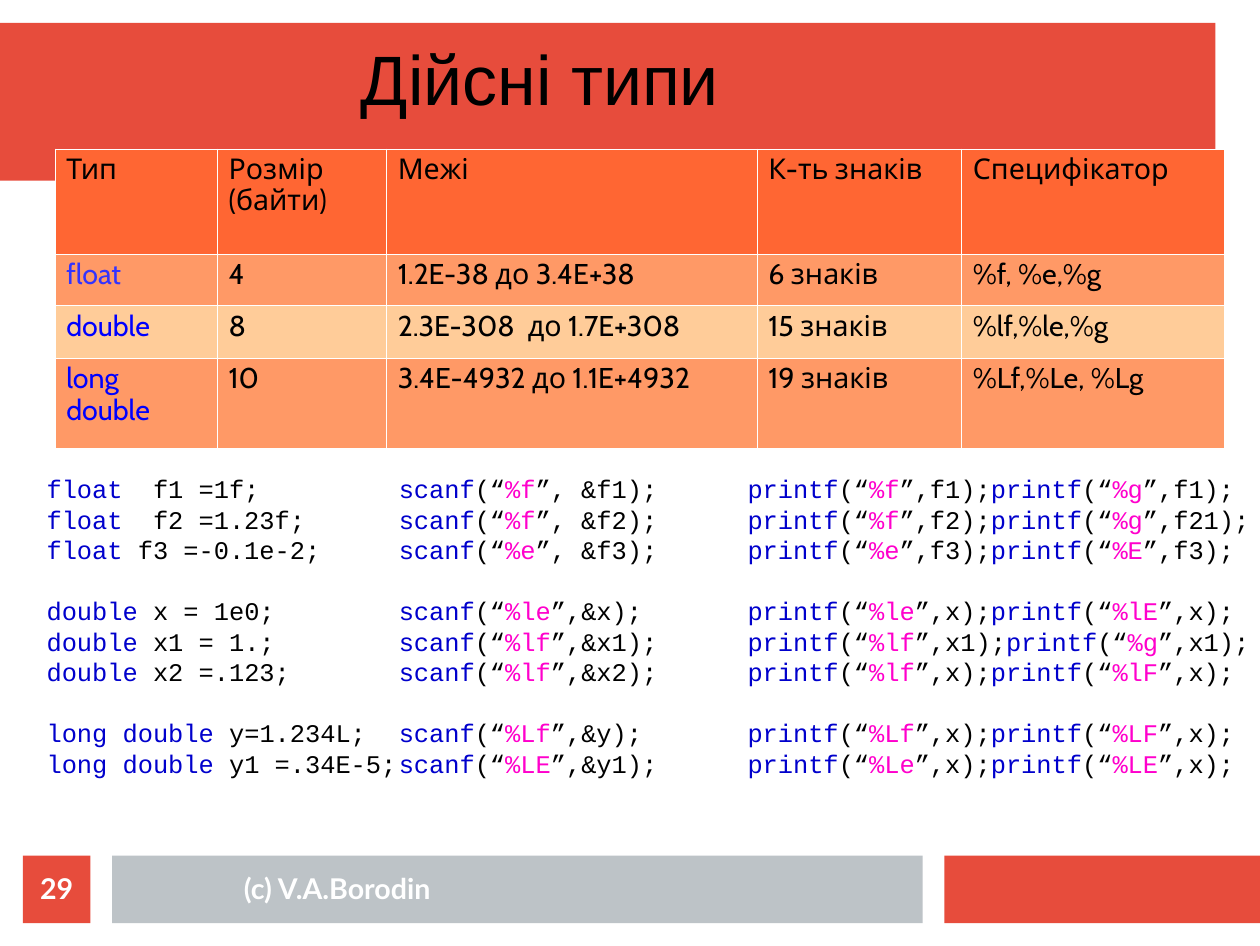
from lxml.etree import SubElement
from pptx import Presentation
from pptx.dml.color import RGBColor
from pptx.enum.shapes import MSO_SHAPE
from pptx.enum.text import MSO_ANCHOR, MSO_AUTO_SIZE, PP_ALIGN
from pptx.oxml.ns import qn
from pptx.util import Inches, Pt

COLORS = {
    "red": "E74C3C", "gray": "BDC3C7", "white": "FFFFFF", "black": "000000",
    "header": "FF6633", "odd_row": "FF9966", "even_row": "FFCC99",
    "float": "3333FF", "double": "0000FF",
    "keyword": "0000CC", "format": "FF00CC",
}

TYPE_ROWS = [
    ["Тип", "Розмір (байти)", "Межі", "К-ть знаків", "Специфікатор"],
    ["float", "4", "1.2E-38 до 3.4E+38", "6 знаків", "%f, %e,%g"],
    ["double", "8", "2.3E-308  до 1.7E+308", "15 знаків", "%lf,%le,%g"],
    ["long double", "10", "3.4E-4932 до 1.1E+4932", "19 знаків", "%Lf,%Le, %Lg"],
]
COLUMN_WIDTHS = [1.42, 1.48, 3.24, 1.79, 2.3]
ROW_HEIGHTS = [0.92, 0.45, 0.46, 0.79]
ROW_FILLS = ["header", "odd_row", "even_row", "odd_row"]
TYPE_COLORS = ["black", "float", "double", "double"]

# Type, declaration, then format and arguments of scanf, printf, printf
CODE_GROUPS = [
    [
        ("float", "  f1 =1f;", "%f", ", &f1", "%f", ",f1", "%g", ",f1"),
        ("float", "  f2 =1.23f;", "%f", ", &f2", "%f", ",f2", "%g", ",f21"),
        ("float", " f3 =-0.1e-2;", "%e", ", &f3", "%e", ",f3", "%E", ",f3"),
    ],
    [
        ("double", " x = 1e0;", "%le", ",&x", "%le", ",x", "%lE", ",x"),
        ("double", " x1 = 1.;", "%lf", ",&x1", "%lf", ",x1", "%g", ",x1"),
        ("double", " x2 =.123;", "%lf", ",&x2", "%lf", ",x", "%lF", ",x"),
    ],
    [
        ("long double", " y=1.234L;", "%Lf", ",&y", "%Lf", ",x", "%LF", ",x"),
        ("long double", " y1 =.34E-5;", "%LE", ",&y1", "%Le", ",x", "%LE", ",x"),
    ],
]
CODE_TABS = [3.08, 6.13]


def rgb(name):
    return RGBColor.from_string(COLORS[name])


def write(paragraph, text, size=18, font="Cabin", color="black", bold=False,
          align=PP_ALIGN.LEFT, spacing=1.0):
    paragraph.alignment = align
    paragraph.line_spacing = spacing
    run = paragraph.add_run()
    run.text = text
    run.font.size = Pt(size)
    run.font.name = font
    run.font.bold = bold
    run.font.color.rgb = rgb(color)


def add_bar(slide, left, top, width, height, fill):
    bar = slide.shapes.add_shape(MSO_SHAPE.RECTANGLE, Inches(left), Inches(top),
                                 Inches(width), Inches(height))
    bar.shadow.inherit = False
    bar.fill.solid()
    bar.fill.fore_color.rgb = rgb(fill)
    bar.line.fill.background()
    return bar


def add_text_box(slide, left, top, width, height):
    box = slide.shapes.add_textbox(Inches(left), Inches(top),
                                   Inches(width), Inches(height))
    box.text_frame.word_wrap = True
    return box


def write_footer(shape, text):
    frame = shape.text_frame
    frame.margin_left = frame.margin_right = 0
    frame.margin_top = frame.margin_bottom = 0
    frame.vertical_anchor = MSO_ANCHOR.MIDDLE
    write(frame.paragraphs[0], text, font="Lato", color="white", bold=True,
          align=PP_ALIGN.CENTER, spacing=0.98)


def set_title(slide, text):
    title = slide.shapes.title
    title.left, title.top = Inches(1.97), Inches(0.33)
    title.width, title.height = Inches(5.51), Inches(0.83)
    title.text_frame.vertical_anchor = MSO_ANCHOR.TOP
    title.text_frame.auto_size = MSO_AUTO_SIZE.NONE
    write(title.text_frame.paragraphs[0], text, size=44, font="Arial",
          align=PP_ALIGN.CENTER, spacing=0.93)
    # Bring the title in front of the red band
    title.element.getparent().append(title.element)


def add_borders(cell):
    properties = cell._tc.get_or_add_tcPr()
    for position, side in enumerate(("lnL", "lnR", "lnT", "lnB")):
        line = SubElement(properties, qn(f"a:{side}"), w=str(Pt(0.06)))
        fill = SubElement(line, qn("a:solidFill"))
        SubElement(fill, qn("a:srgbClr"), val=COLORS["white"])
        properties.insert(position, line)


def add_type_table(slide):
    table = slide.shapes.add_table(
        len(TYPE_ROWS), len(COLUMN_WIDTHS), Inches(0.48), Inches(1.3),
        Inches(sum(COLUMN_WIDTHS)), Inches(sum(ROW_HEIGHTS))).table
    table.first_row = table.horz_banding = False
    for column, width in zip(table.columns, COLUMN_WIDTHS):
        column.width = Inches(width)
    for r, values in enumerate(TYPE_ROWS):
        table.rows[r].height = Inches(ROW_HEIGHTS[r])
        for c, value in enumerate(values):
            cell = table.cell(r, c)
            cell.fill.solid()
            cell.fill.fore_color.rgb = rgb(ROW_FILLS[r])
            add_borders(cell)
            write(cell.text_frame.paragraphs[0], value, spacing=0.9,
                  color=TYPE_COLORS[r] if c == 0 else "black")


def add_tabs(paragraph, positions):
    tabs = SubElement(paragraph._p.get_or_add_pPr(), qn("a:tabLst"))
    for position in positions:
        SubElement(tabs, qn("a:tab"), pos=str(Inches(position)), algn="l")


def write_code_line(paragraph, type_name, declaration, *calls):
    parts = [(type_name, "keyword"), (declaration + "\t", "black")]
    endings = {"scanf": ");\t", "printf": ");"}
    functions = ["scanf", "printf", "printf"]
    for function, form, arguments in zip(functions, calls[::2], calls[1::2]):
        parts += [(function, "keyword"), ("(“", "black"), (form, "format"),
                  ("”" + arguments + endings[function], "black")]
    for text, color in parts:
        write(paragraph, text, size=16, font="Courier New", color=color)


def add_code(slide):
    frame = add_text_box(slide, 0.31, 4.09, 10.94, 4.19).text_frame
    for g, group in enumerate(CODE_GROUPS):
        for n, line in enumerate(group):
            first = g == 0 and n == 0
            paragraph = frame.paragraphs[0] if first else frame.add_paragraph()
            add_tabs(paragraph, CODE_TABS)
            if g > 0 and n == 0:
                paragraph.space_before = Pt(19.2)
            write_code_line(paragraph, *line)


def main():
    presentation = Presentation()
    presentation.slide_width = Inches(11.02)
    presentation.slide_height = Inches(8.27)
    slide = presentation.slides.add_slide(presentation.slide_layouts[5])

    # Title band and footer bars
    add_bar(slide, 0, 0.2, 10.63, 1.38, "red")
    add_bar(slide, 8.26, 7.48, 2.76, 0.59, "red")
    add_bar(slide, 0.98, 7.48, 7.09, 0.59, "gray")

    # Content
    add_type_table(slide)
    add_code(slide)
    set_title(slide, "Дійсні типи")

    # Page number and copyright
    write_footer(add_bar(slide, 0.2, 7.48, 0.59, 0.59, "red"), "29")
    write_footer(add_text_box(slide, 1.18, 7.48, 3.54, 0.59), "(c) V.A.Borodin")

    presentation.save("out.pptx")


if __name__ == "__main__":
    main()
